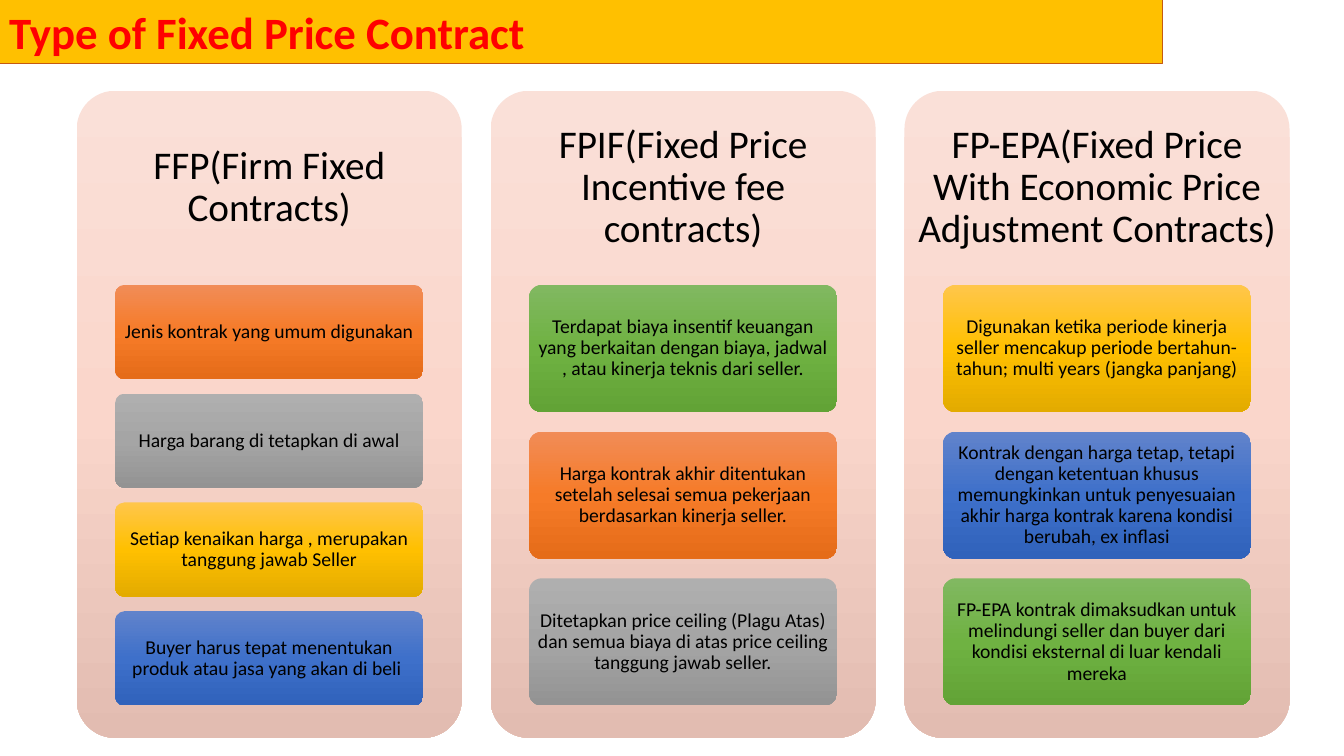
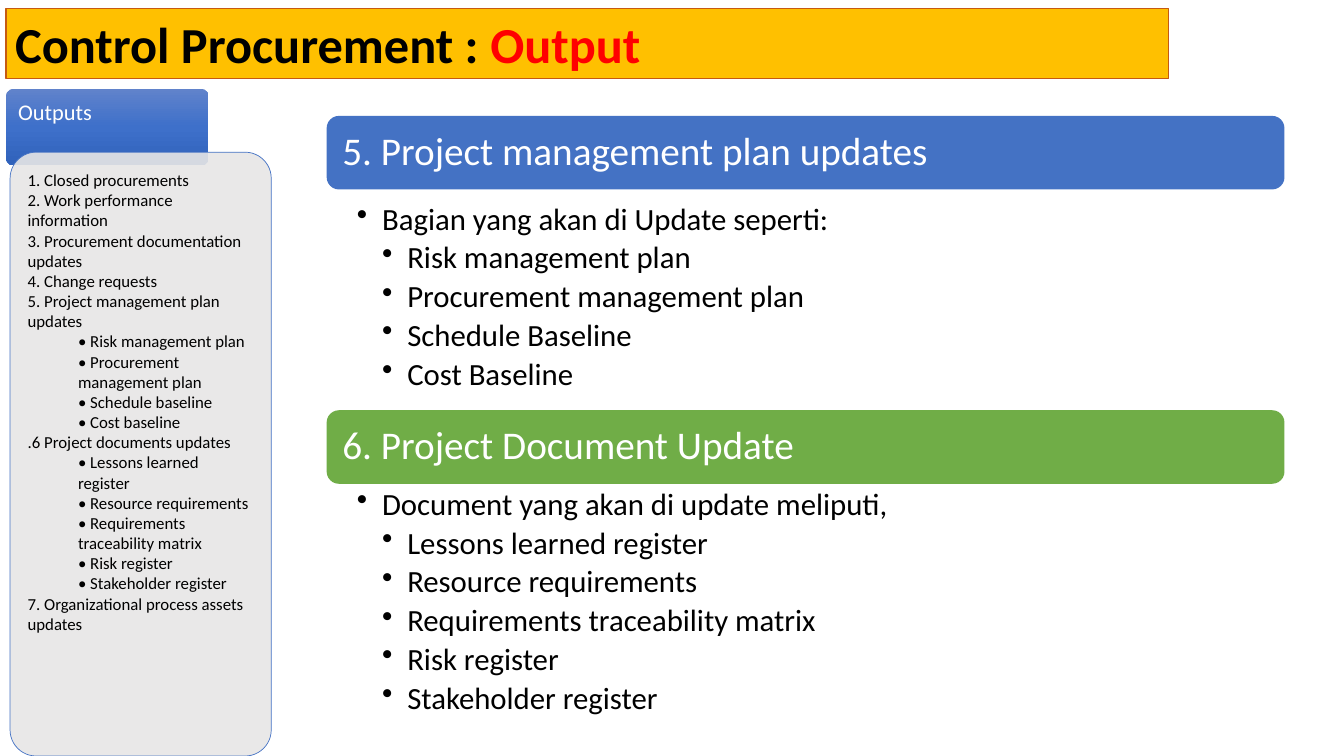
from copy import deepcopy
from itertools import cycle

from lxml.etree import SubElement
from pptx import Presentation
from pptx.dml.color import RGBColor
from pptx.enum.shapes import MSO_SHAPE as SHAPE
from pptx.enum.text import MSO_ANCHOR as ANCHOR, PP_ALIGN as ALIGN
from pptx.oxml.ns import qn
from pptx.util import Emu, Pt

FONT = "Calibri"
BLACK, WHITE, RED = "000000", "FFFFFF", "FF0000"
GOLD, RUST, BLUE, GREEN, SILVER = "FFC000", "C55A11", "4472C4", "70AD47", "E7E6E6"

# Top, middle and bottom colours of each gradient
PEACH_FADE = ("FAE0D8", "FAD6CB", "E2BCB1")
BLUE_FADE = ("6183CB", "3E70CA", "3062BB")
CARD_FADES = (
    ("F18C57", "F67B28", "E56C19"),
    ("AFAFAF", "A5A5A5", "939393"),
    ("FFC64B", "FFC000", "E3AB00"),
    BLUE_FADE,
    ("81B861", "6FB242", "62A336"),
)

CONTRACTS = [
    ("FFP(Firm Fixed Contracts)", [
        "Jenis kontrak yang umum digunakan",
        "Harga barang di tetapkan di awal",
        "Setiap kenaikan harga , merupakan tanggung jawab Seller",
        "Buyer harus tepat menentukan produk atau jasa yang akan di beli ",
    ]),
    ("FPIF(Fixed Price Incentive fee contracts)", [
        "Terdapat biaya insentif keuangan yang berkaitan dengan biaya, jadwal "
        ", atau kinerja teknis dari seller.",
        "Harga kontrak akhir ditentukan setelah selesai semua pekerjaan "
        "berdasarkan kinerja seller.",
        "Ditetapkan price ceiling (Plagu Atas) dan semua biaya di atas price "
        "ceiling tanggung jawab seller.",
    ]),
    ("FP-EPA(Fixed Price With Economic Price Adjustment Contracts)", [
        "Digunakan ketika periode kinerja seller mencakup periode "
        "bertahun-tahun; multi years (jangka panjang)",
        "Kontrak dengan harga tetap, tetapi dengan ketentuan khusus "
        "memungkinkan untuk penyesuaian akhir harga kontrak karena kondisi "
        "berubah, ex inflasi",
        "FP-EPA kontrak dimaksudkan untuk melindungi seller dan buyer dari "
        "kondisi eksternal di luar kendali mereka",
    ]),
]

OUTPUTS = [
    "1. Closed procurements",
    "2. Work performance information",
    "3. Procurement documentation",
    "updates",
    "4. Change requests",
    "5. Project management plan",
    "updates",
    "• Risk management plan",
    "• Procurement management plan",
    "• Schedule baseline",
    "• Cost baseline",
    ".6 Project documents updates",
    "• Lessons learned register",
    "• Resource requirements",
    "• Requirements traceability matrix",
    "• Risk register",
    "• Stakeholder register",
    "7. Organizational process assets",
    "updates",
]

# Box, height of the list, heading, colour, lead line, items
UPDATES = [
    ((324, 115, 950, 292), 209, "5. Project management plan updates", BLUE,
     "Bagian yang akan di Update seperti:",
     ["Risk management plan", "Procurement management plan",
      "Schedule Baseline", "Cost Baseline"]),
    ((324, 407, 950, 321), 247, "6. Project Document Update", GREEN,
     "Document yang akan di update meliputi,",
     ["Lessons learned register", "Resource requirements",
      "Requirements traceability matrix", "Risk register",
      "Stakeholder register"]),
]


# Basic helpers
def px(n):
    """Convert px (100 to the inch) into EMU."""
    return Emu(round(n * 9144))


def rgb(color):
    return RGBColor.from_string(color)


def set_fill(sp, fill):
    """Fill with one colour, or with a vertical gradient of three."""
    if isinstance(fill, str):
        sp.fill.solid()
        sp.fill.fore_color.rgb = rgb(fill)
        return
    sp.fill.gradient()
    sp.fill.gradient_angle = 270
    stops = sp.element.spPr.find(qn("a:gradFill")).find(qn("a:gsLst"))
    stops.append(deepcopy(stops[0]))
    for i, (stop, color) in enumerate(zip(sp.fill.gradient_stops, fill)):
        stop.position = i / 2
        stop.color.rgb = rgb(color)


def set_opacity(sp, percent):
    color = sp.element.spPr.find(qn("a:solidFill"))[0]
    SubElement(color, qn("a:alpha"), val=str(percent * 1000))


def add_box(s, box, fill, line=None, width=0.75, kind=SHAPE.ROUNDED_RECTANGLE, adj=None):
    sp = s.shapes.add_shape(kind, *map(px, box))
    sp.shadow.inherit = False
    set_fill(sp, fill)
    if line:
        sp.line.color.rgb = rgb(line)
        sp.line.width = Pt(width)
    else:
        sp.line.fill.background()
    if adj is not None:
        sp.adjustments[0] = adj
    return sp


def set_frame(sp, insets, anchor=ANCHOR.TOP):
    tf = sp.text_frame
    tf.word_wrap = True
    tf.vertical_anchor = anchor
    tf.margin_left, tf.margin_top, tf.margin_right, tf.margin_bottom = map(px, insets)
    return tf


def add_paragraph(tf, runs, size, align=ALIGN.LEFT, spacing=0.9, after=0,
                  left=0, bullet=False, bold=False):
    """Add one paragraph from (text, colour) runs."""
    first = tf.paragraphs[0]
    p = tf.add_paragraph() if first.runs else first
    if left:
        pPr = p._p.get_or_add_pPr()
        pPr.set("marL", str(px(left)))
        pPr.set("indent", str(px(-25 if bullet else 0)))
        if bullet:
            SubElement(pPr, qn("a:buChar"), char="•")
    p.alignment = align
    p.line_spacing = spacing
    p.space_after = Pt(after)
    for text, color in runs:
        r = p.add_run()
        r.text = text
        r.font.name = FONT
        r.font.size = Pt(size)
        r.font.bold = bold
        r.font.color.rgb = rgb(color)


# Shared title band
def title_band(s, box, runs, size):
    sp = add_box(s, box, GOLD, RUST, kind=SHAPE.RECTANGLE)
    tf = set_frame(sp, (9, 5, 9, 5))
    add_paragraph(tf, runs, size, spacing=1.0, bold=True)


# Contract column: heading over a stack of cards
def contract_column(s, box, heading, cards, fades):
    x, y, w, h = box
    add_box(s, box, PEACH_FADE, adj=0.1)
    sp = s.shapes.add_textbox(*map(px, (x, y, w, h * 0.3)))
    tf = set_frame(sp, (12, 12, 12, 12), ANCHOR.MIDDLE)
    add_paragraph(tf, [(heading, BLACK)], 28, ALIGN.CENTER)

    gap_ratio = 2 / 13
    n = len(cards)
    card_h = h * 0.65 / (n + (n - 1) * gap_ratio)
    for i, text in enumerate(cards):
        top = y + h * 0.3 + i * card_h * (1 + gap_ratio)
        sp = add_box(s, (x + w * 0.1, top, w * 0.8, card_h), next(fades), adj=0.1)
        tf = set_frame(sp, (4, 3, 4, 3), ANCHOR.MIDDLE)
        add_paragraph(tf, [(text, BLACK)], 14, ALIGN.CENTER)


# Sidebar: tab with the list panel over its lower edge
def outputs_sidebar(s, box):
    x, y, w, h = box
    tab = add_box(s, (x, y, 201, 76), BLUE_FADE, adj=0.1)
    add_paragraph(set_frame(tab, (10, 10, 10, 10)), [("Outputs", WHITE)], 16)

    panel = add_box(s, (x + 4, y + 63, w - 4, h - 63), SILVER, BLUE, 0.5, adj=0.1)
    set_opacity(panel, 90)
    tf = set_frame(panel, (10, 10, 10, 10))
    for text in OUTPUTS:
        left = 50 if text.startswith("•") else 0
        add_paragraph(tf, [(text, BLACK)], 12, spacing=1.0, left=left)


# Update section: heading bar above a bulleted list
def update_section(s, box, list_h, heading, color, lead, items):
    x, y, w, h = box
    bar = add_box(s, (x, y, w, 73), color)
    tf = set_frame(bar, (12, 12, 12, 12), ANCHOR.MIDDLE)
    add_paragraph(tf, [(heading, WHITE)], 28)

    sp = s.shapes.add_textbox(*map(px, (x, y + h - list_h, w, list_h)))
    tf = set_frame(sp, (30, 4, 22, 4))
    for i, text in enumerate([lead, *items]):
        add_paragraph(tf, [(text, BLACK)], 22, after=3.9,
                      left=50 if i else 25, bullet=True)


# Slides
def contract_slide(s):
    title_band(s, (0, 0, 1153, 63), [("Type of Fixed Price Contract", RED)], 32)
    x, y, w, h = 76, 90, 1203, 642
    col_w = 382
    step = (w - col_w) / (len(CONTRACTS) - 1)
    fades = cycle(CARD_FADES)
    for i, (heading, cards) in enumerate(CONTRACTS):
        contract_column(s, (x + i * step, y, col_w, h), heading, cards, fades)


def output_slide(s):
    title_band(s, (6, 8, 1153, 70),
               [("Control Procurement : ", BLACK), ("Output", RED)], 36)
    for section in UPDATES:
        update_section(s, *section)
    outputs_sidebar(s, (6, 88, 263, 662))


def main():
    prs = Presentation()
    prs.slide_width, prs.slide_height = px(1333), px(750)
    for build in (contract_slide, output_slide):
        build(prs.slides.add_slide(prs.slide_layouts[6]))
    prs.save("out.pptx")


if __name__ == "__main__":
    main()
